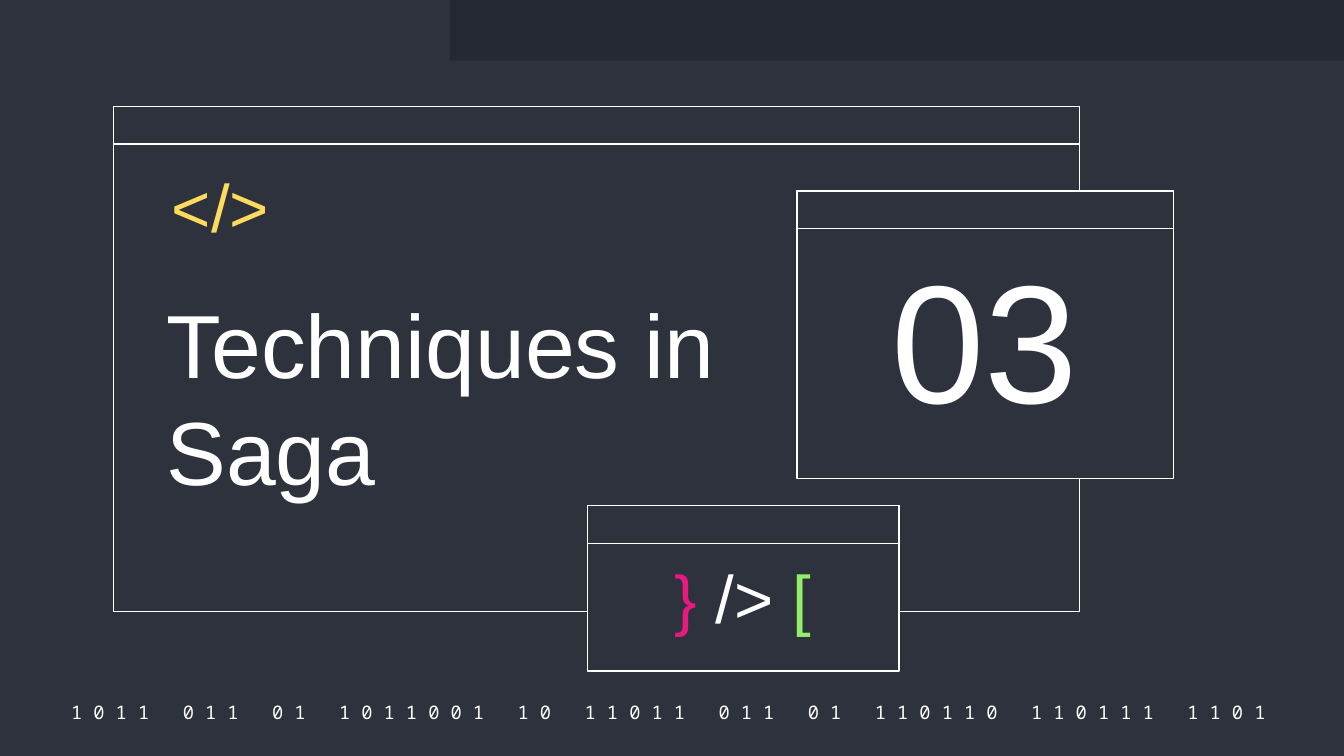
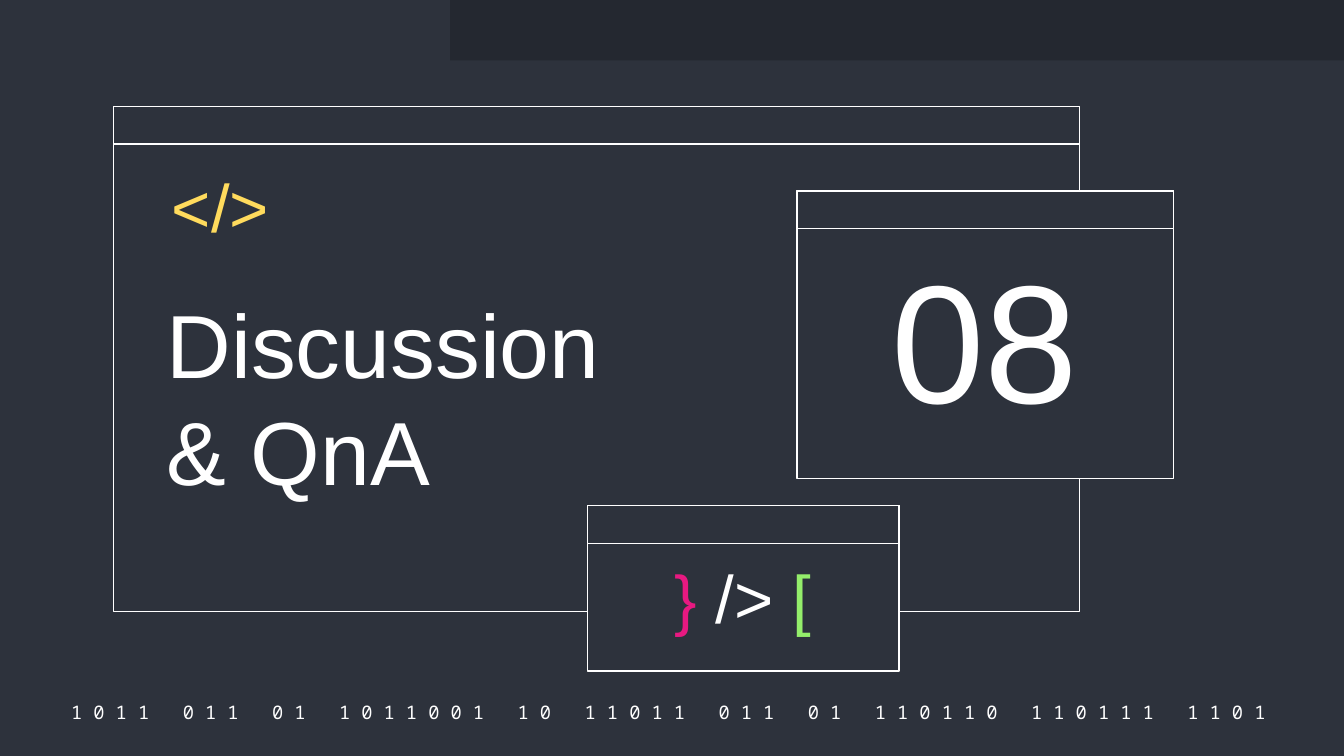
from pptx import Presentation
from pptx.dml.color import RGBColor
from pptx.enum.shapes import MSO_SHAPE as Shape
from pptx.enum.text import MSO_ANCHOR as Anchor, MSO_AUTO_SIZE as Fit, PP_ALIGN as Align
from pptx.util import Pt

DECK = [(["Techniques in Saga"], "03"), (["Discussion", "& QnA"], "08")]
BITS = "1011 011 01 1011001 10 11011 011 01 110110 110111 1101".split()

INK, BASE, DARK = "FFFFFF", "2D323C", "242830"
GOLD, PINK, LIME = "FFDB5D", "E81981", "94EE6B"
SANS, MONO = "Arial", "Noto Sans Mono"
PAD, BAR = 7.2, 20.2

BAND = (241.2, 0, 478.8, 32.4)
PANES = [(60.7, 57, 517.7, 270.7), (314.6, 270.9, 167, 88.6), (427, 102.3, 201.6, 154)]
SPOTS = {
    "title": (82, 148, 310.3, 64.8),
    "num": (440, 122.4, 175, 118.8),
    "tag": (66.2, 86.4, 85, 44.6),
    "code": (350, 296, 95.8, 59),
    "bits": (27.4, 374.4, 667.4, 14.4),
}
TAG = [("</>", GOLD)]
CODE = [("}", PINK), (" /> ", INK), ("[", LIME)]


def tint(code):
    """Turn a hex string into a colour."""
    return RGBColor.from_string(code)


def assign(item, **vals):
    """Set every given attribute on an item."""
    for key, val in vals.items():
        setattr(item, key, val)


def place(item, spot):
    """Move and size an item by a spot in points."""
    assign(item, **dict(zip(("left", "top", "width", "height"), map(Pt, spot))))


def rect(slide, spot, fill, edge=None):
    """Draw a flat rectangle."""
    box = slide.shapes.add_shape(Shape.RECTANGLE, *map(Pt, spot))
    box.shadow.inherit = False
    box.fill.solid()
    box.fill.fore_color.rgb = tint(fill)
    if edge:
        box.line.color.rgb = tint(edge)
        box.line.width = Pt(0.75)
    else:
        box.line.fill.background()


def write(box, paras, size, font=SANS, align=Align.LEFT, anchor=Anchor.TOP, lead=1.0, right=PAD):
    """Fill a box with paragraphs made of (text, colour) runs."""
    frame = box.text_frame
    assign(frame, word_wrap=True, auto_size=Fit.NONE, vertical_anchor=anchor,
           margin_left=Pt(PAD), margin_top=Pt(PAD), margin_right=Pt(right), margin_bottom=Pt(PAD))
    for i, runs in enumerate(paras):
        para = frame.add_paragraph() if i else frame.paragraphs[0]
        assign(para, alignment=align, line_spacing=lead, space_before=Pt(0))
        for text, hue in runs:
            run = para.add_run()
            run.text = text
            assign(run.font, name=font, size=Pt(size), bold=False)
            run.font.color.rgb = tint(hue)


def label(slide, name, paras, size, **style):
    """Add a text box at a named spot."""
    box = slide.shapes.add_textbox(*map(Pt, SPOTS[name]))
    write(box, paras, size, **style)
    return box


def footer(slide):
    """Write the row of bits with wide gaps between groups."""
    runs = []
    for word in BITS:
        runs += [(" ".join(word), INK), (" ", INK)]
    box = label(slide, "bits", [runs[:-1]], 10, font=MONO, align=Align.CENTER,
                anchor=Anchor.MIDDLE, right=PAD + 6)
    for gap in box.text_frame.paragraphs[0].runs[1::2]:
        gap.font._element.set("spc", "1200")


def build(deck, lines, num):
    """Build one section slide."""
    slide = deck.slides.add_slide(deck.slide_layouts[0])
    footer(slide)
    rect(slide, BAND, DARK)
    for x, y, wide, high in PANES:
        for tall in (high, BAR):
            rect(slide, (x, y, wide, tall), BASE, INK)
    title, count = slide.placeholders
    for box, name in ((title, "title"), (count, "num")):
        place(box, SPOTS[name])
        slide.shapes._spTree.append(box._element)
    write(title, [[(line, INK)] for line in lines], 48, lead=Pt(57.3))
    write(count, [[(num, INK)]], 90, align=Align.CENTER, anchor=Anchor.BOTTOM)
    label(slide, "tag", [TAG], 36, align=Align.RIGHT, lead=0.9)
    label(slide, "code", [CODE], 36, align=Align.CENTER, lead=0.9)


def main():
    """Build and save the deck."""
    deck = Presentation()
    assign(deck, slide_width=Pt(720), slide_height=Pt(405))
    back = deck.slide_master.background.fill
    back.solid()
    back.fore_color.rgb = tint(BASE)
    for lines, num in DECK:
        build(deck, lines, num)
    deck.save("out.pptx")


if __name__ == "__main__":
    main()
